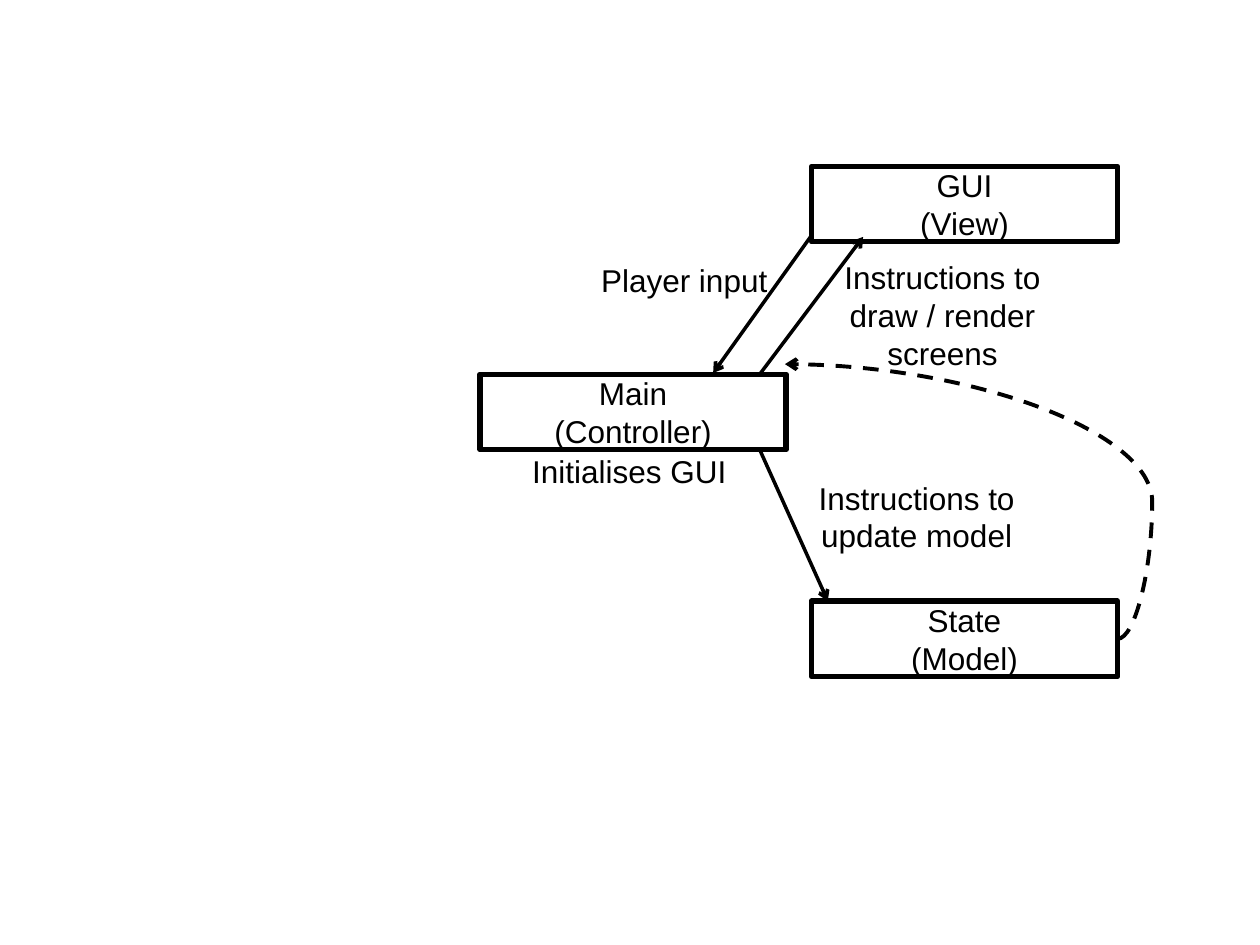
import pptx
import pptx.util
import pptx.dml.color
import pptx.enum.dml
import pptx.enum.shapes
import pptx.enum.text
import pptx.oxml.ns
from lxml import etree

COLORS = {"ink": "000000", "paper": "FFFFFF"}
FONT = "Arial"
WIDTH, HEIGHT = pptx.util.Inches(10), pptx.util.Inches(7.5)
BOX_W, BOX_H = 24.3, 8
LEFT_COL, RIGHT_COL = 38.1, 64.4
VIEW_ROW, MAIN_ROW, STATE_ROW = 17.6, 39.6, 63.6


def x(share):
    return round(WIDTH * share / 100)


def y(share):
    return round(HEIGHT * share / 100)


def color(name):
    return pptx.dml.color.RGBColor.from_string(COLORS[name])


def sub(parent, tag, **attrs):
    return etree.SubElement(parent, pptx.oxml.ns.qn(tag), attrs)


def write(tf, lines):
    tf.word_wrap = True
    for i, line in enumerate(lines):
        p = tf.add_paragraph() if i else tf.paragraphs[0]
        p.alignment = pptx.enum.text.PP_ALIGN.CENTER
        r = p.add_run()
        r.text = line
        r.font.name = FONT
        r.font.size = pptx.util.Pt(18)
        r.font.color.rgb = color("ink")


def add_box(slide, left, top, lines):
    rect = pptx.enum.shapes.MSO_SHAPE.RECTANGLE
    sp = slide.shapes.add_shape(rect, x(left), y(top), x(BOX_W), y(BOX_H))
    sp.shadow.inherit = False
    sp.fill.background()
    sp.line.color.rgb = color("ink")
    sp.line.width = pptx.util.Pt(3)
    sp.text_frame.vertical_anchor = pptx.enum.text.MSO_ANCHOR.MIDDLE
    write(sp.text_frame, lines)


def add_label(slide, left, top, width, height, text):
    sp = slide.shapes.add_textbox(x(left), y(top), x(width), y(height))
    tf = sp.text_frame
    write(tf, [text])
    tf.auto_size = pptx.enum.text.MSO_AUTO_SIZE.SHAPE_TO_FIT_TEXT


def add_arrow(slide, start, end, kind="STRAIGHT", width=2):
    kind = pptx.enum.shapes.MSO_CONNECTOR[kind]
    sp = slide.shapes.add_connector(
        kind, x(start[0]), y(start[1]), x(end[0]), y(end[1]))
    sp.line.color.rgb = color("ink")
    sp.line.width = pptx.util.Pt(width)
    sub(sp.line._get_or_add_ln(), "a:tailEnd", type="arrow")
    sub(sp._element.spPr, "a:effectLst")
    return sp


def add_feedback_curve(slide, top_left, bottom_right, bulge):
    sp = add_arrow(slide, top_left, bottom_right, "CURVE", 2.25)
    sp.line.dash_style = pptx.enum.dml.MSO_LINE.DASH
    spPr = sp._element.spPr
    spPr.find(pptx.oxml.ns.qn("a:xfrm")).set("rot", str(180 * 60000))
    geom = spPr.find(pptx.oxml.ns.qn("a:prstGeom"))
    guides = geom.find(pptx.oxml.ns.qn("a:avLst"))
    if guides is None:
        guides = sub(geom, "a:avLst")
    sub(guides, "a:gd", name="adj1", fmla=f"val {round(-bulge * 100000)}")


def main():
    prs = pptx.Presentation()
    prs.slide_width, prs.slide_height = WIDTH, HEIGHT
    slide = prs.slides.add_slide(prs.slide_layouts[6])
    slide.background.fill.solid()
    slide.background.fill.fore_color.rgb = color("paper")

    add_box(slide, RIGHT_COL, VIEW_ROW, ["GUI", "(View)"])
    add_box(slide, RIGHT_COL, STATE_ROW, ["State", "(Model)"])
    add_box(slide, LEFT_COL, MAIN_ROW, ["Main", "(Controller)"])

    add_label(slide, 37, 47.2, 25.9, 5.33, "Initialises GUI")
    add_label(slide, 65.7, 26.67, 18.2, 13.47,
              "Instructions to draw / render screens")
    add_label(slide, 45.2, 26.93, 18.2, 5.33, "Player input")
    add_label(slide, 63.4, 50, 18.7, 9.47, "Instructions to update model")

    add_arrow(slide, (60.3, MAIN_ROW), (68.5, 25.07))
    add_arrow(slide, (RIGHT_COL, 24.93), (56.6, 39.47))
    add_arrow(slide, (60.3, MAIN_ROW + BOX_H), (65.7, STATE_ROW))
    add_feedback_curve(slide, (62.3, 38.53),
                       (RIGHT_COL + BOX_W, STATE_ROW + BOX_H / 2), 0.104)

    prs.save("out.pptx")


main()
